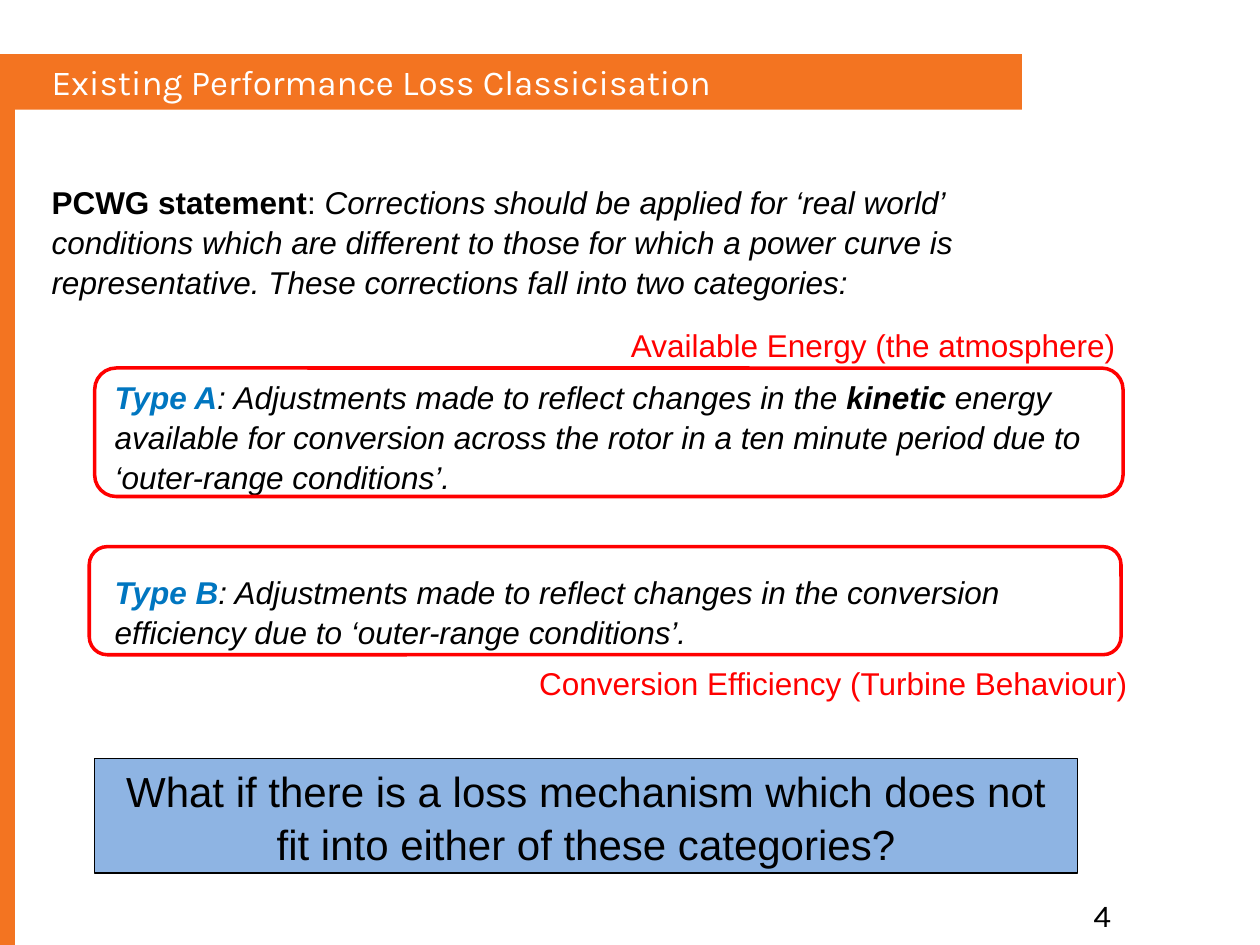
from pptx import Presentation
from pptx.dml.color import RGBColor
from pptx.enum.shapes import MSO_SHAPE as Preset
from pptx.enum.text import MSO_ANCHOR as Anchor, PP_ALIGN as Align
from pptx.util import Cm, Pt

ORANGE = RGBColor(0xF3, 0x74, 0x21)
BLUE = RGBColor(0x00, 0x76, 0xC0)
PALE_BLUE = RGBColor(0x8E, 0xB4, 0xE3)
RED = RGBColor(0xFF, 0x00, 0x00)
BLACK = RGBColor(0x00, 0x00, 0x00)
WHITE = RGBColor(0xFF, 0xFF, 0xFF)

deck = Presentation()
deck.slide_width, deck.slide_height = Cm(25.4), Cm(19.05)
slide = deck.slides.add_slide(deck.slide_layouts[6])


def add_box(preset, place, fill=None, line=None, weight=0.75):
    box = slide.shapes.add_shape(preset, *map(Cm, place))
    box.shadow.inherit = False
    if fill is None:
        box.fill.background()
    else:
        box.fill.solid()
        box.fill.fore_color.rgb = fill
    if line is None:
        box.line.fill.background()
    else:
        box.line.color.rgb = line
        box.line.width = Pt(weight)
    return box.text_frame


def add_run(paragraph, text, size=18, color=BLACK, font="Arial", bold=False, italic=False):
    run = paragraph.add_run()
    run.text = text
    run.font.name, run.font.size = font, Pt(size)
    run.font.color.rgb = color
    run.font.bold, run.font.italic = bold, italic


# Orange header band and side bar
for band in [(0, 1.09, 20.6, 1.12), (0, 2.03, 0.3, 17.02)]:
    add_box(Preset.RECTANGLE, band, fill=ORANGE)

# Title, page number and red category labels
for text, place, size, font, color in [
    ("Existing Performance Loss Classicisation", (0.79, 1.19, 15.37, 0.89), 20, "Karla", WHITE),
    ("4", (21.79, 17.93, 2.62, 0.86), 18, "Karla", BLACK),
    ("Available Energy (the atmosphere)", (12.47, 6.4, 10.82, 1.02), 18, "Arial", RED),
    ("Conversion Efficiency (Turbine Behaviour)", (10.62, 13.23, 12.98, 1.02), 18, "Arial", RED),
]:
    label = slide.shapes.add_textbox(*map(Cm, place)).text_frame
    label.word_wrap = True
    if color == WHITE:
        label.vertical_anchor = Anchor.MIDDLE
    elif color == RED:
        label.paragraphs[0].line_spacing = 1.05
    add_run(label.paragraphs[0], text, size, color, font)

# Statement followed by the two indented categories
statement = slide.shapes.add_textbox(Cm(0.79), Cm(3.53), Cm(21.51), Cm(11.79)).text_frame
statement.word_wrap = True
intro = statement.paragraphs[0]
intro.line_spacing = 1.05
add_run(intro, "PCWG statement", bold=True)
add_run(intro, ": ")
add_run(intro, "Corrections should be applied for ‘real world’ conditions which are different to "
        "those for which a power curve is representative. These corrections fall into two "
        "categories:", italic=True)

categories = [
    [("Type A", BLUE, True),
     (": Adjustments made to reflect changes in the ", BLACK, False),
     ("kinetic", BLACK, True),
     (" energy available for conversion across the rotor in a ten minute period due to "
      "‘outer-range conditions’.", BLACK, False)],
    [("Type B", BLUE, True),
     (": Adjustments made to reflect changes in the conversion efficiency due to "
      "‘outer-range conditions’.", BLACK, False)],
]
for category in categories:
    paragraph = statement.add_paragraph()
    paragraph.level = 1
    indent = paragraph._p.get_or_add_pPr()
    indent.set("marL", str(Cm(1.27)))
    indent.set("indent", "0")
    paragraph.line_spacing = 1.05
    paragraph.space_before = Pt(43.4)
    for text, color, bold in category:
        add_run(paragraph, text, color=color, bold=bold, italic=True)

# Red frames around the categories
for frame in [(1.91, 7.42, 20.73, 2.59), (1.8, 11.02, 20.8, 2.18)]:
    add_box(Preset.ROUNDED_RECTANGLE, frame, line=RED, weight=2)

# Closing question
question = add_box(Preset.RECTANGLE, (1.91, 15.29, 19.81, 2.31), fill=PALE_BLUE, line=BLACK)
question.word_wrap = True
question.vertical_anchor = Anchor.MIDDLE
question.paragraphs[0].alignment = Align.CENTER
question.paragraphs[0].line_spacing = 1.05
add_run(question.paragraphs[0], "What if there is a loss mechanism which does not fit into "
        "either of these categories?", size=24)

deck.save("out.pptx")
